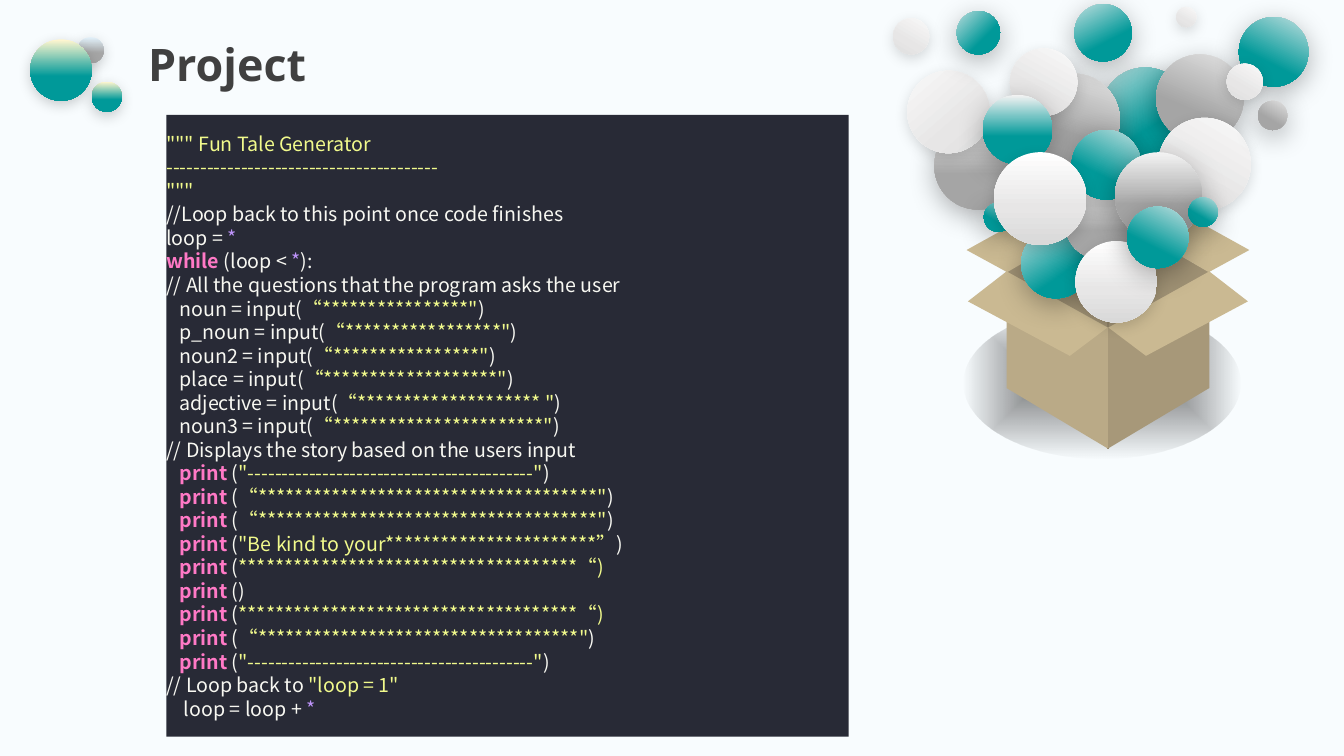
"""Build the Project slide: a code listing beside an open box of floating balls."""
from dataclasses import dataclass

from lxml.etree import SubElement
from pptx import Presentation
from pptx.dml.color import RGBColor
from pptx.enum.shapes import MSO_CONNECTOR as CONNECTOR, MSO_SHAPE as SHAPE
from pptx.enum.text import MSO_ANCHOR as ANCHOR, PP_ALIGN as ALIGN
from pptx.oxml import parse_xml
from pptx.oxml.ns import nsdecls, qn
from pptx.util import Pt


@dataclass(frozen=True)
class Theme:
    background: str = "F8FCFE"
    heading: str = "404040"
    panel: str = "282A36"
    plain: str = "F8F8F2"
    string: str = "F1FA8C"
    number: str = "BD93F9"
    keyword: str = "FF79C6"
    inside: str = "9F9174"
    flap: str = "CAB992"
    seam: str = "8F8268"
    wall_left: str = "BAAA87"
    wall_right: str = "A79879"
    title_font: str = "Noto Sans"
    code_font: str = "Noto Sans CJK SC"
    title_size: float = 32
    code_size: float = 14
    code_pitch: float = 16.8


THEME = Theme()
PLAIN, STRING, NUMBER, KEYWORD = THEME.plain, THEME.string, THEME.number, THEME.keyword
INDENT, DEEP_INDENT = 9.4, 12.6


def ask(name, hint):
    return INDENT, [(f"{name} = input(", PLAIN), (f"“{hint}\"", STRING), (")", PLAIN)]


def show(text, closing=")"):
    return INDENT, [("print", KEYWORD), (" (", PLAIN), (text, STRING), (closing, PLAIN)]


STARS, DASHES = "*" * 37, "-" * 42
TITLE = "Project"
CODE = [
    (0, [('""" Fun Tale Generator', STRING)]),
    (0, [("-" * 40, STRING)]),
    (0, [('"""', STRING)]),
    (0, [("//Loop back to this point once code finishes", PLAIN)]),
    (0, [("loop = ", PLAIN), ("*", NUMBER)]),
    (0, [("while", KEYWORD), (" (loop < ", PLAIN), ("*", NUMBER), ("):", PLAIN)]),
    (0, [("// All the questions that the program asks the user", PLAIN)]),
    ask("noun", "*" * 16),
    ask("p_noun", "*" * 17),
    ask("noun2", "*" * 16),
    ask("place", "*" * 19),
    ask("adjective", "*" * 20 + " "),
    ask("noun3", "*" * 23),
    (0, [("// Displays the story based on the users input", PLAIN)]),
    show(f'"{DASHES}"'),
    show(f'“{STARS}"'),
    show(f'“{STARS}"'),
    show('"Be kind to your' + "*" * 23 + "”"),
    show(f"{STARS}“)", closing=""),
    show(""),
    show(f"{STARS}“)", closing=""),
    show("“" + "*" * 35 + '"'),
    show(f'"{DASHES}"'),
    (0, [("// Loop back to ", PLAIN), ('"loop = 1"', STRING)]),
    (DEEP_INDENT, [("loop = loop + ", PLAIN), ("*", NUMBER)]),
]

FINISHES = {
    "teal": ([(1, "F2F2F2"), (60, "009999"), (100, "009999")], (30, 20, 5)),
    "gray": ([(1, "F2F2F2"), (60, "A5A5A5"), (100, "A5A5A5")], (30, 20, 5)),
    "white": ([(0, "FFFFFF"), (60, "E7E6E6"), (100, "D9D9D9")], (15, 10, 3)),
    "badge teal": ([(1, "FFF6CF"), (60, "009999"), (100, "009999")], (20, 10, 3)),
    "badge gray": ([(1, "E1F0F9"), (60, "A5A5A5"), (100, "A5A5A5")], (20, 10, 3)),
}
BADGE = [
    ("badge gray", 55.4, 26.6, 18.7, 0),
    ("badge teal", 65.5, 58.3, 21.6, 0),
    ("badge teal", 21.6, 28.1, 43.9, 0),
]
BALLS = [
    ("teal", 786.2, 48.2, 63.4, 325.6),
    ("gray", 667.4, 87.1, 62.6, 0),
    ("gray", 825.8, 38.9, 62.6, 22.7),
    ("teal", 702.7, 144.7, 20.9, 30.6),
    ("teal", 884.9, 12.2, 49.7, 26.6),
    ("white", 648, 50.4, 59, 318.9),
    ("gray", 733.7, 52.6, 66.2, 18.2),
    ("white", 827.3, 84.2, 66.2, 30.6),
    ("teal", 729.4, 163.4, 49.7, 325.6),
    ("gray", 761, 135.4, 49.7, 0),
    ("white", 768.2, 172.1, 58.3, 0),
    ("teal", 765.4, 92.9, 49.7, 26.6),
    ("teal", 767.5, 2.9, 41, 332.5),
    ("teal", 683.3, 7.9, 31, 315),
    ("white", 637.9, 13, 25.9, 30.6),
    ("gray", 898.6, 72, 20.9, 30.6),
    ("white", 840.2, 5, 14.4, 30.6),
    ("white", 876.2, 45.4, 25.9, 30.6),
    ("gray", 796.3, 108.7, 62.6, 0),
    ("teal", 848.9, 141.1, 20.9, 30.6),
    ("white", 721.4, 34.6, 48.2, 29),
    ("teal", 702, 67.7, 49.7, 0),
    ("teal", 805, 147.6, 43.9, 27.4),
    ("white", 709.9, 108.7, 66.2, 0),
]
FLOOR_SHADE = [(1, "000000", 50), (60, "000000", 20), (100, "000000", 0)]
BOX_AXIS, BOX_TOP, BOX_BOTTOM = 791.4, 152.6, 320.4
INSIDE = [(-72.4, 194.4), (-42.5, 173.5), (0, BOX_TOP), (72.4, 194.4), (0, 239)]
BACK_FLAP = [(72, 194.4), (101, 178.6), (27, 137.5), (0, BOX_TOP)]
WALL = [(0, BOX_BOTTOM), (0, 234), (72.4, 193.9), (72.4, 277.2)]
FRONT_FLAP = [(72.4, 193.9), (100, 215.3), (27.2, 254.2), (0.4, 234)]


def color(code):
    return RGBColor.from_string(code)


def write(paragraph, text, *, font, size, ink, bold=False):
    run = paragraph.add_run()
    run.text = text
    run.font.name, run.font.size, run.font.bold = font, Pt(size), bold
    run.font.color.rgb = color(ink)
    SubElement(run.font._element, qn("a:ea")).set("typeface", font)


def paint_gradient(shape, stops, direction):
    marks = "".join(
        f'<a:gs pos="{at * 1000}"><a:srgbClr val="{ink}">'
        + "".join(f'<a:alpha val="{level * 1000}"/>' for level in alpha)
        + "</a:srgbClr></a:gs>"
        for at, ink, *alpha in stops)
    shape.fill.gradient()
    properties = shape._element.spPr
    properties.replace(properties.find(qn("a:gradFill")), parse_xml(
        f'<a:gradFill {nsdecls("a")} rotWithShape="1"><a:gsLst>{marks}</a:gsLst>{direction}</a:gradFill>'))


def add_ball(shapes, finish, left, top, size, turn):
    ball = shapes.add_shape(SHAPE.OVAL, Pt(left), Pt(top), Pt(size), Pt(size))
    ball.rotation = turn
    ball.line.fill.background()
    stops, (opacity, blur, distance) = FINISHES[finish]
    paint_gradient(ball, stops, '<a:lin ang="5400000" scaled="0"/>')
    ball.shadow.inherit = False
    ball._element.spPr.find(qn("a:effectLst")).append(parse_xml(
        f'<a:outerShdw {nsdecls("a")} blurRad="{Pt(blur)}" dist="{Pt(distance)}" dir="5400000" '
        f'algn="t" rotWithShape="0"><a:srgbClr val="000000"><a:alpha val="{opacity * 1000}"/>'
        '</a:srgbClr></a:outerShdw>'))


def add_panel(shapes, corners, ink, side=1):
    points = [(Pt(BOX_AXIS + side * x), Pt(y)) for x, y in corners]
    builder = shapes.build_freeform(*points[0], scale=1.0)
    builder.add_line_segments(points[1:], close=True)
    panel = builder.convert_to_shape()
    panel.fill.solid()
    panel.fill.fore_color.rgb = color(ink)
    panel.line.fill.background()
    panel.shadow.inherit = False


def add_box(shapes):
    floor = shapes.add_shape(SHAPE.OVAL, Pt(688.3), Pt(219.6), Pt(198), Pt(108))
    floor.line.fill.background()
    floor.shadow.inherit = False
    paint_gradient(floor, FLOOR_SHADE, '<a:path path="shape"><a:fillToRect '
                   'l="50000" t="50000" r="50000" b="50000"/></a:path>')
    add_panel(shapes, INSIDE, THEME.inside)
    for side in (-1, 1):
        add_panel(shapes, BACK_FLAP, THEME.flap, side)
    seam = shapes.add_connector(
        CONNECTOR.STRAIGHT, Pt(BOX_AXIS), Pt(BOX_BOTTOM), Pt(BOX_AXIS), Pt(BOX_TOP))
    seam.line.color.rgb = color(THEME.seam)
    seam.line.width = Pt(1)
    SubElement(seam._element.spPr, qn("a:effectLst"))
    add_panel(shapes, WALL, THEME.wall_right)
    add_panel(shapes, WALL, THEME.wall_left, -1)
    for side in (-1, 1):
        add_panel(shapes, FRONT_FLAP, THEME.flap, side)


def add_title(title):
    title.left, title.top, title.width, title.height = Pt(98.6), Pt(26.6), Pt(828), Pt(42.5)
    title.text_frame.vertical_anchor = ANCHOR.MIDDLE
    heading = title.text_frame.paragraphs[0]
    heading.alignment, heading.line_spacing = ALIGN.LEFT, 0.9
    write(heading, TITLE, font=THEME.title_font, size=THEME.title_size, ink=THEME.heading, bold=True)


def add_code(shapes):
    panel = shapes.add_shape(SHAPE.RECTANGLE, Pt(118.8), Pt(82.1), Pt(487.4), Pt(444.2))
    panel.fill.solid()
    panel.fill.fore_color.rgb = color(THEME.panel)
    panel.line.fill.background()
    panel.shadow.inherit = False
    frame = panel.text_frame
    frame.word_wrap, frame.vertical_anchor = True, ANCHOR.MIDDLE
    frame.margin_left = frame.margin_right = 0
    frame.margin_top = frame.margin_bottom = Pt(10)
    for number, (indent, tokens) in enumerate(CODE):
        line = frame.add_paragraph() if number else frame.paragraphs[0]
        line.alignment, line.line_spacing = ALIGN.LEFT, Pt(THEME.code_pitch)
        line._p.get_or_add_pPr().set("marL", str(Pt(indent)))
        for text, ink in filter(lambda token: token[0], tokens):
            write(line, text, font=THEME.code_font, size=THEME.code_size, ink=ink, bold=ink == KEYWORD)


deck = Presentation()
deck.slide_width, deck.slide_height = Pt(960), Pt(540)
slide = deck.slides.add_slide(deck.slide_layouts[5])
slide.background.fill.solid()
slide.background.fill.fore_color.rgb = color(THEME.background)
for ball in BADGE:
    add_ball(slide.shapes, *ball)
add_box(slide.shapes.add_group_shape().shapes)
cloud = slide.shapes.add_group_shape().shapes
for ball in BALLS:
    add_ball(cloud, *ball)
add_title(slide.shapes.title)
add_code(slide.shapes)
deck.save("out.pptx")
